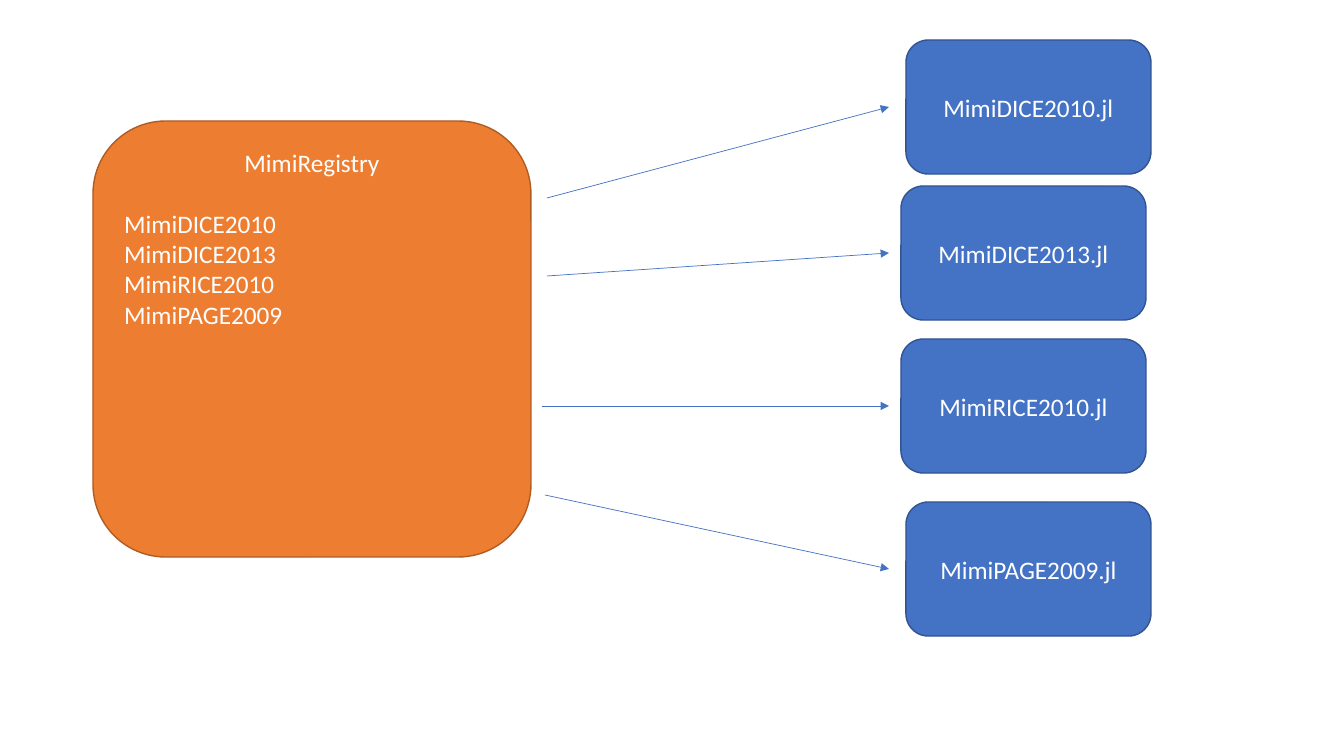
"""Build a slide showing a package registry pointing to its model packages."""
from lxml import etree
from pptx import Presentation, util as u
from pptx.dml.color import RGBColor
from pptx.enum import shapes, text
from pptx.oxml.ns import qn

REGISTRY = "MimiRegistry"
REGISTRY_BOX = (93, 121, 438, 436)
MODELS = [
    ("MimiDICE2010", (906, 40), (547, 198)),
    ("MimiDICE2013", (901, 186), (547, 276)),
    ("MimiRICE2010", (901, 339), (542, 406)),
    ("MimiPAGE2009", (906, 502), (545, 495)),
]
MODEL_W, MODEL_H = 245, 134
ARROW_END_X = 889
FONT, SIZE, LINE_GAP = "Calibri", 18, 22

WHITE = RGBColor(0xFF, 0xFF, 0xFF)
BLUE = RGBColor(0x44, 0x72, 0xC4)
DARK_BLUE = RGBColor(0x32, 0x54, 0x91)
ORANGE = RGBColor(0xED, 0x7D, 0x31)
DARK_ORANGE = RGBColor(0xAF, 0x5C, 0x24)


def px(n):
    return u.Emu(round(n * 914400 / 100.8))


def add_text(p, content, align=text.PP_ALIGN.CENTER, before=0):
    p.alignment = align
    p.space_before = u.Pt(before)
    r = p.add_run()
    r.text = content
    r.font.name, r.font.size = FONT, u.Pt(SIZE)
    r.font.color.rgb = WHITE


def add_box(s, box, fill, line, anchor):
    sp = s.shapes.add_shape(shapes.MSO_SHAPE.ROUNDED_RECTANGLE, *map(px, box))
    sp.shadow.inherit = False
    sp.fill.solid()
    sp.fill.fore_color.rgb = fill
    sp.line.color.rgb = line
    sp.line.width = u.Pt(1)
    tf = sp.text_frame
    tf.word_wrap = True
    tf.vertical_anchor = anchor
    return tf


def add_arrow(s, start, end):
    cx = s.shapes.add_connector(
        shapes.MSO_CONNECTOR.STRAIGHT, *map(px, start + end))
    cx.line.color.rgb = BLUE
    cx.line.width = u.Pt(0.5)
    etree.SubElement(cx.line._get_or_add_ln(), qn("a:tailEnd"), type="triangle")
    etree.SubElement(cx._element.spPr, qn("a:effectLst"))


def main():
    prs = Presentation()
    prs.slide_width, prs.slide_height = px(1344), px(756)
    s = prs.slides.add_slide(prs.slide_layouts[6])

    tf = add_box(s, REGISTRY_BOX, ORANGE, DARK_ORANGE, text.MSO_ANCHOR.TOP)
    add_text(tf.paragraphs[0], REGISTRY)
    for i, (name, (left, top), start) in enumerate(MODELS):
        add_text(tf.add_paragraph(), name, align=text.PP_ALIGN.LEFT,
                 before=0 if i else LINE_GAP)
        model = add_box(s, (left, top, MODEL_W, MODEL_H), BLUE, DARK_BLUE,
                        text.MSO_ANCHOR.MIDDLE)
        add_text(model.paragraphs[0], name + ".jl")
        add_arrow(s, start, (ARROW_END_X, top + MODEL_H // 2))

    prs.save("out.pptx")


if __name__ == "__main__":
    main()
